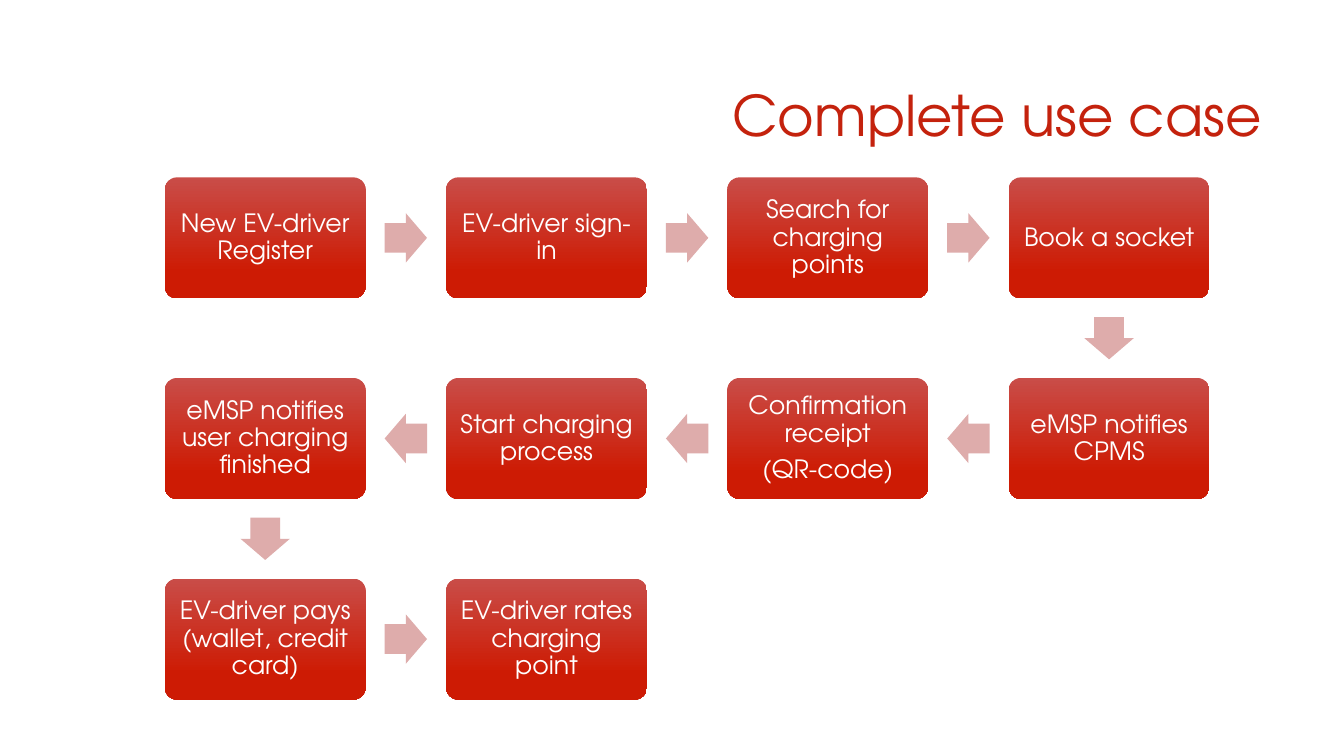
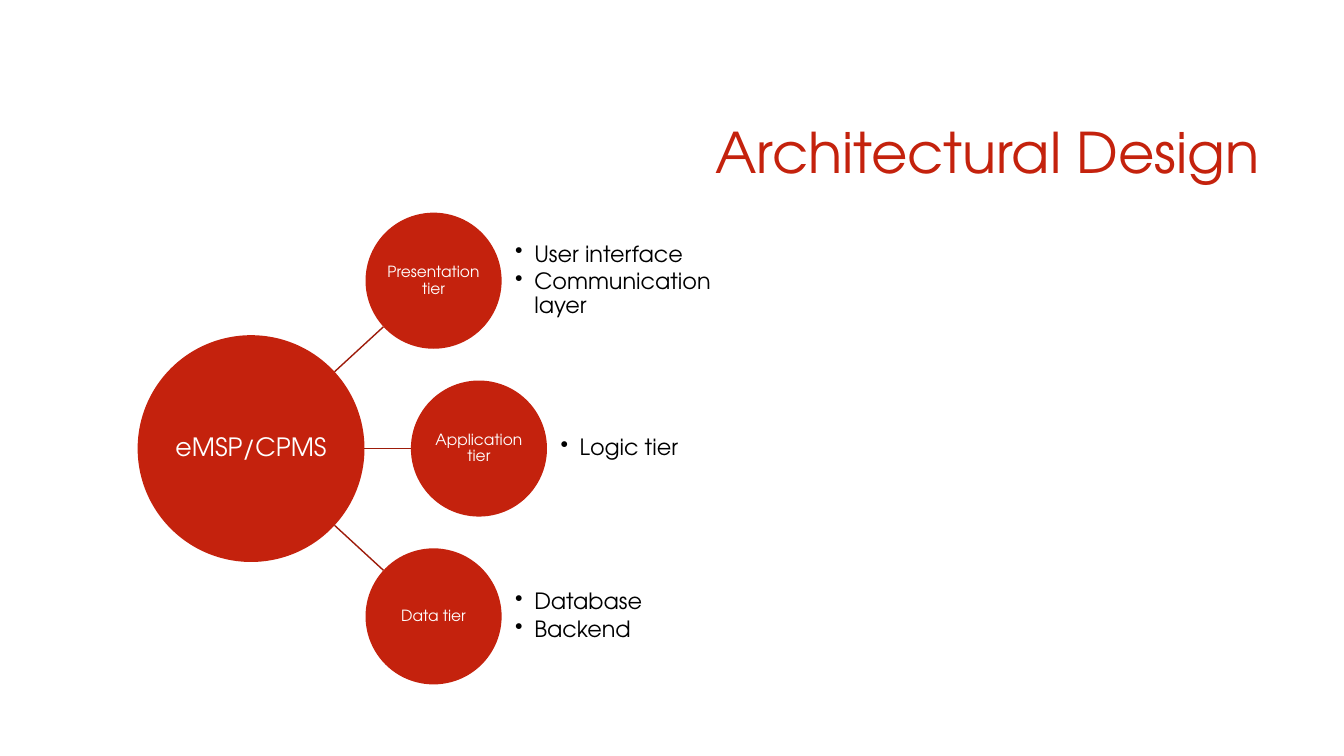
from math import hypot

from lxml import etree
from pptx import Presentation
from pptx.dml.color import RGBColor
from pptx.enum.shapes import MSO_CONNECTOR, MSO_SHAPE
from pptx.enum.text import MSO_ANCHOR, PP_ALIGN
from pptx.oxml.ns import qn
from pptx.util import Inches, Pt

FONT = "TeX Gyre Adventor"
COLORS = {
    "red": "C4220D",
    "box_top": "C94D48",
    "box_bottom": "CD1B04",
    "arrow": "DEACAB",
    "line": "9D1B0A",
    "white": "FFFFFF",
    "black": "000000",
}
ROUNDED = MSO_SHAPE.ROUNDED_RECTANGLE
ARROW = MSO_SHAPE.RIGHT_ARROW
OVAL = MSO_SHAPE.OVAL
STRAIGHT = MSO_CONNECTOR.STRAIGHT
MIDDLE = MSO_ANCHOR.MIDDLE
LEFT, CENTER, RIGHT = PP_ALIGN.LEFT, PP_ALIGN.CENTER, PP_ALIGN.RIGHT


def write(shape, lines, size, color, align=CENTER, margin=0.0, gap=0.0, bullet=False):
    frame = shape.text_frame
    frame.word_wrap = True
    frame.vertical_anchor = MIDDLE
    frame.margin_left = frame.margin_right = Inches(margin)
    frame.margin_top = frame.margin_bottom = Inches(margin)
    frame.text = "\n".join(lines)
    for index, para in enumerate(frame.paragraphs):
        para.alignment = align
        para.line_spacing = 0.9
        if index:
            para.space_before = Pt(gap)
        if bullet:
            properties = para._p.get_or_add_pPr()
            properties.set("marL", str(Inches(0.19)))
            properties.set("indent", str(-Inches(0.19)))
            etree.SubElement(properties, qn("a:buChar"), char="•")
        for span in para.runs:
            span.font.name = FONT
            span.font.size = Pt(size)
            span.font.color.rgb = RGBColor.from_string(COLORS[color])


def add_shape(page, kind, center_x, center_y, width, height, color):
    shape = page.shapes.add_shape(
        kind,
        Inches(center_x - width / 2),
        Inches(center_y - height / 2),
        Inches(width),
        Inches(height),
    )
    shape.shadow.inherit = False
    shape.line.fill.background()
    shape.fill.solid()
    shape.fill.fore_color.rgb = RGBColor.from_string(COLORS[color])
    return shape


deck = Presentation()
deck.slide_width = Inches(13.33)
deck.slide_height = Inches(7.5)

pages = []
for title, left, top in [
    ("Complete use case", 3.19, 0.47),
    ("Architectural Design", 3.17, 0.84),
]:
    page = deck.slides.add_slide(deck.slide_layouts[6])
    box = page.shapes.add_textbox(Inches(left), Inches(top), Inches(9.42), Inches(1.41))
    write(box, [title], 40, "red", align=RIGHT, margin=0.1)
    pages.append(page)
flow_page, tier_page = pages

COLUMNS = 4
STEP_X, STEP_Y = 2.79, 1.99
FIRST_X, FIRST_Y = 2.63, 2.36
steps = [
    ["New EV-driver Register"],
    ["EV-driver sign-in"],
    ["Search for charging points"],
    ["Book a socket"],
    ["eMSP notifies CPMS"],
    ["Confirmation receipt", "(QR-code)"],
    ["Start charging process"],
    ["eMSP notifies user charging finished"],
    ["EV-driver pays (wallet, credit card)"],
    ["EV-driver rates charging point"],
]

previous = None
for index, lines in enumerate(steps):
    row, column = divmod(index, COLUMNS)
    if row % 2:
        column = COLUMNS - 1 - column
    x = FIRST_X + column * STEP_X
    y = FIRST_Y + row * STEP_Y
    if previous:
        last_x, last_y = previous
        arrow = add_shape(
            flow_page, ARROW, (x + last_x) / 2, (y + last_y) / 2, 0.42, 0.49, "arrow"
        )
        arrow.adjustments[0] = 0.6
        arrow.adjustments[1] = 0.5
        if y > last_y:
            arrow.rotation = 90
        elif x < last_x:
            arrow.rotation = 180
    previous = x, y

    box = add_shape(flow_page, ROUNDED, x, y, 1.99, 1.2, "box_bottom")
    box.adjustments[0] = 0.1
    box.fill.gradient()
    box.fill.gradient_angle = 270
    stops = box.fill.gradient_stops
    for stop, position, color in zip(stops, (0, 0.78), ("box_top", "box_bottom")):
        stop.position = position
        stop.color.rgb = RGBColor.from_string(COLORS[color])
    write(box, lines, 18, "white", margin=0.07, gap=6.3)

HUB_X, HUB_Y, HUB_SIZE = 2.49, 4.45, 2.25
TIER_SIZE = 1.35
tiers = [
    ("Presentation tier", 4.3, ["User interface", "Communication layer"]),
    ("Application tier", 4.75, ["Logic tier"]),
    ("Data tier", 4.3, ["Database", "Backend"]),
]

hub = add_shape(tier_page, OVAL, HUB_X, HUB_Y, HUB_SIZE, HUB_SIZE, "red")
write(hub, ["eMSP/CPMS"], 18, "white")
hub.text_frame.word_wrap = False

for index, (name, x, items) in enumerate(tiers):
    y = HUB_Y + (index - 1) * 1.665
    distance = hypot(x - HUB_X, y - HUB_Y)
    unit_x, unit_y = (x - HUB_X) / distance, (y - HUB_Y) / distance
    line = tier_page.shapes.add_connector(
        STRAIGHT,
        Inches(HUB_X + unit_x * HUB_SIZE / 2),
        Inches(HUB_Y + unit_y * HUB_SIZE / 2),
        Inches(x - unit_x * TIER_SIZE / 2),
        Inches(y - unit_y * TIER_SIZE / 2),
    )
    line.line.color.rgb = RGBColor.from_string(COLORS["line"])
    line.line.width = Pt(1)
    etree.SubElement(line._element.spPr, qn("a:effectLst"))

    circle = add_shape(tier_page, OVAL, x, y, TIER_SIZE, TIER_SIZE, "red")
    write(circle, [name], 11, "white", margin=0.01)
    box = tier_page.shapes.add_textbox(
        Inches(x + 0.81), Inches(y - TIER_SIZE / 2), Inches(2.03), Inches(TIER_SIZE)
    )
    write(box, items, 16, "black", align=LEFT, gap=2.4, bullet=True)

deck.save("out.pptx")
